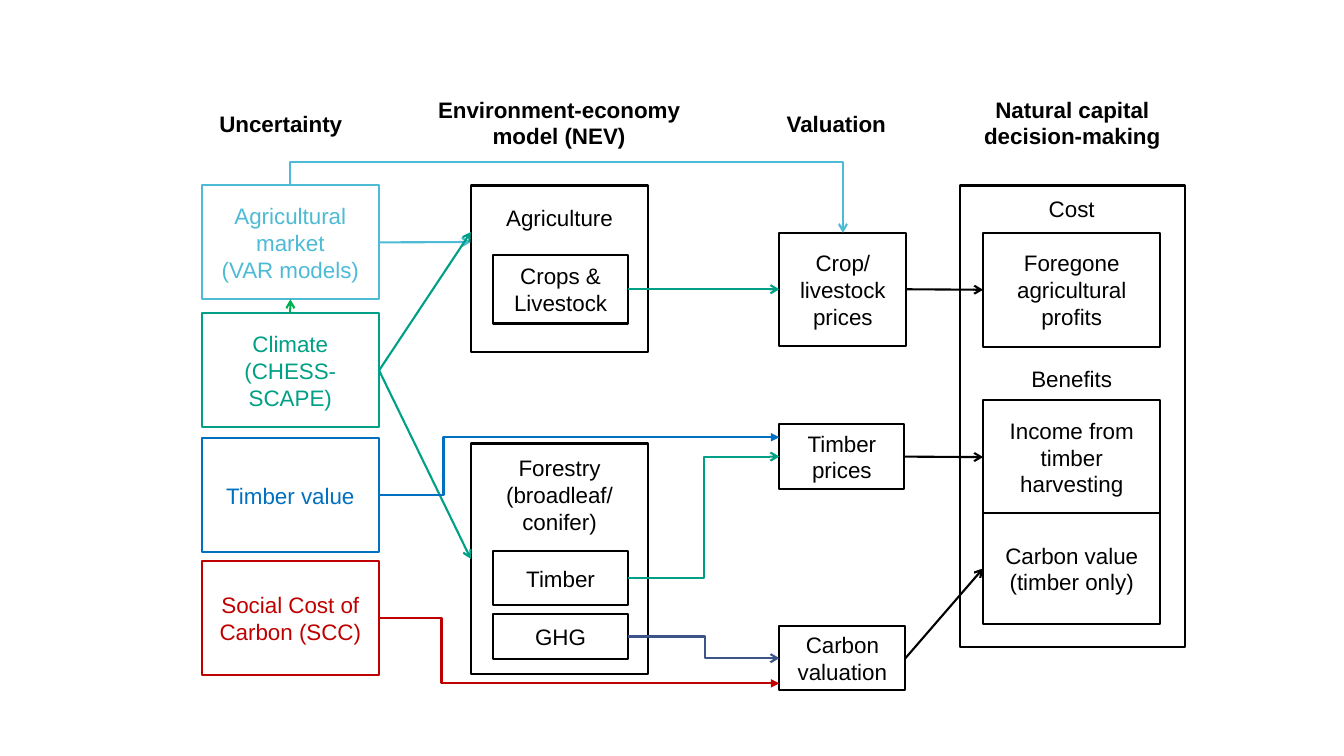
from lxml import etree
from pptx import Presentation
from pptx.dml.color import RGBColor
from pptx.enum import shapes, text
from pptx.oxml import ns
from pptx.util import Inches, Pt

BLACK = RGBColor(0x00, 0x00, 0x00)
WHITE = RGBColor(0xFF, 0xFF, 0xFF)
SKY = RGBColor(0x4D, 0xBB, 0xD5)
TEAL = RGBColor(0x00, 0xA0, 0x87)
GREEN = RGBColor(0x00, 0xB0, 0x50)
BLUE = RGBColor(0x00, 0x70, 0xC0)
NAVY = RGBColor(0x3C, 0x54, 0x88)
RED = RGBColor(0xC0, 0x00, 0x00)

WIDE, HIGH = 1.76, 1.13  # size of the large boxes
LEFT, RIGHT, TOP, FOOT = (0, 0.5), (1, 0.5), (0.5, 0), (0.5, 1)


def write(shape, words, color=BLACK, bold=False):
    frame = shape.text_frame
    frame.text = words
    frame.word_wrap = True
    for para in frame.paragraphs:
        para.alignment = text.PP_ALIGN.CENTER
        for run in para.runs:
            font = run.font
            font.name, font.size, font.bold = "Arial", Pt(16), bold
            font.color.rgb = color


def box(slide, left, top, width, height, words="", color=BLACK):
    """Draw an outlined box; one without words is an unfilled frame."""
    shape = slide.shapes.add_shape(
        shapes.MSO_SHAPE.RECTANGLE,
        Inches(left), Inches(top), Inches(width), Inches(height))
    shape.shadow.inherit = False
    shape.line.color.rgb = color
    shape.line.width = Pt(1.5)
    if words:
        shape.fill.solid()
        shape.fill.fore_color.rgb = WHITE
        write(shape, words, color)
        shape.text_frame.vertical_anchor = text.MSO_ANCHOR.MIDDLE
    else:
        shape.fill.background()
    return shape


def label(slide, left, top, width, height, words, bold=False):
    shape = slide.shapes.add_textbox(
        Inches(left), Inches(top), Inches(width), Inches(height))
    write(shape, words, bold=bold)


def port(shape, spot):
    """Find the point at a fraction of the width and height of a shape."""
    return (int(shape.left + spot[0] * shape.width),
            int(shape.top + spot[1] * shape.height))


def link(slide, start, end, color, lane=None, head="arrow", upright=False):
    """Join two (shape, spot) ends; a lane is where the bent middle part runs."""
    (x1, y1), (x2, y2) = port(*start), port(*end)
    kind = shapes.MSO_CONNECTOR.STRAIGHT
    if lane is not None:
        kind = shapes.MSO_CONNECTOR.ELBOW
        first, last = (y1, y2) if upright else (x1, x2)
        bend = (Inches(lane) - first) / (last - first)
    if upright:
        midx, midy = (x1 + x2) // 2, (y1 + y2) // 2
        dx, dy = (x2 - x1) // 2, (y2 - y1) // 2
        x1, y1, x2, y2 = midx + dy, midy - dx, midx - dy, midy + dx
    line = slide.shapes.add_connector(kind, x1, y1, x2, y2)
    line.line.color.rgb = color
    line.line.width = Pt(1.5)
    props = line._element.spPr
    if upright:
        props.find(ns.qn("a:xfrm")).set("rot", str(270 * 60000))
    if lane is not None:
        guides = props.find(ns.qn("a:prstGeom")).get_or_add_avLst()
        etree.SubElement(guides, ns.qn("a:gd"), name="adj1",
                         fmla=f"val {round(bend * 100000)}")
    etree.SubElement(props.find(ns.qn("a:ln")), ns.qn("a:tailEnd"), type=head)
    etree.SubElement(props, ns.qn("a:effectLst"))


def titles(slide, top):
    for left, drop, width, height, words in (
            (1.81, 0.14, 1.95, 0.37, "Uncertainty"),
            (4.24, 0, 2.61, 0.63, "Environment-economy model (NEV)"),
            (7.32, 0.14, 1.95, 0.37, "Valuation"),
            (9.39, 0, 2.49, 0.63, "Natural capital decision-making")):
        label(slide, left, top + drop, width, height, words, bold=True)


def risks(slide, left, top):
    """Draw the uncertainty column."""
    return [box(slide, left, top + drop, WIDE, HIGH, words, color)
            for drop, words, color in (
                (0, "Agricultural market\n(VAR models)", SKY),
                (1.27, "Climate\n(CHESS-SCAPE)", TEAL),
                (2.51, "Timber value", BLUE),
                (3.73, "Social Cost of Carbon (SCC)", RED))]


def model(slide, left, top, height, name, drop, parts):
    """Draw one sector frame with its name and its inner boxes."""
    frame = box(slide, left, top, WIDE, height)
    label(slide, left + 0.1, top + drop, WIDE - 0.2, 0.37, name)
    return [frame] + [box(slide, left + 0.22, top + fall, 1.34, high, words)
                      for fall, high, words in parts]


def prices(slide, left, top):
    """Draw the valuation column."""
    return [box(slide, left, top + drop, width, height, words)
            for drop, width, height, words in (
                (0, 1.26, 1.12, "Crop/ livestock prices"),
                (1.9, 1.24, 0.64, "Timber prices"),
                (3.9, 1.25, 0.64, "Carbon valuation"))]


def choice(slide, left, top):
    """Draw the decision frame with its costs and benefits."""
    box(slide, left, top, 2.23, 4.58)
    inner = left + 0.23
    for drop, words in ((0.05, "Cost"), (1.73, "Benefits")):
        label(slide, inner, top + drop, WIDE, 0.37, words)
    return [box(slide, inner, top + drop, WIDE, height, words)
            for drop, height, words in (
                (0.47, HIGH, "Foregone agricultural profits"),
                (2.13, HIGH, "Income from timber harvesting"),
                (3.25, 1.1, "Carbon value (timber only)"))]


def flow(slide):
    titles(slide, 0.9)
    market, climate, value, social = risks(slide, 2, 1.84)
    farm, crops = model(slide, 4.67, 1.84, 1.65, "Agriculture", 0.14,
                        [(0.69, 0.68, "Crops & Livestock")])
    forest, timber, gas = model(
        slide, 4.67, 4.4, 2.29, "Forestry\n(broadleaf/\nconifer)", 0.06,
        [(1.07, 0.53, "Timber"), (1.69, 0.45, "GHG")])
    crop, wood, carbon = prices(slide, 7.73, 2.31)
    profit, income, credit = choice(slide, 9.52, 1.84)

    for start, end, color in (
            ((market, RIGHT), (farm, (0, 0.34)), SKY),
            ((climate, RIGHT), (farm, (0, 0.28)), TEAL),
            ((climate, RIGHT), (forest, LEFT), TEAL),
            ((climate, TOP), (market, FOOT), GREEN),
            ((crops, RIGHT), (crop, LEFT), TEAL),
            ((crop, RIGHT), (profit, LEFT), BLACK),
            ((wood, RIGHT), (income, LEFT), BLACK),
            ((carbon, RIGHT), (credit, LEFT), BLACK)):
        link(slide, start, end, color)

    link(slide, (market, TOP), (crop, TOP), SKY, 1.61, upright=True)
    link(slide, (timber, RIGHT), (wood, LEFT), TEAL, 6.98)
    link(slide, (gas, RIGHT), (carbon, LEFT), NAVY, 6.99)
    link(slide, (value, RIGHT), (wood, (0, 0.2)), BLUE, 4.4, "triangle")
    link(slide, (social, RIGHT), (carbon, (0, 0.89)), RED, 4.38, "triangle")


def main():
    deck = Presentation()
    deck.slide_width, deck.slide_height = Inches(13.33), Inches(7.5)
    flow(deck.slides.add_slide(deck.slide_layouts[6]))
    deck.save("out.pptx")


if __name__ == "__main__":
    main()
